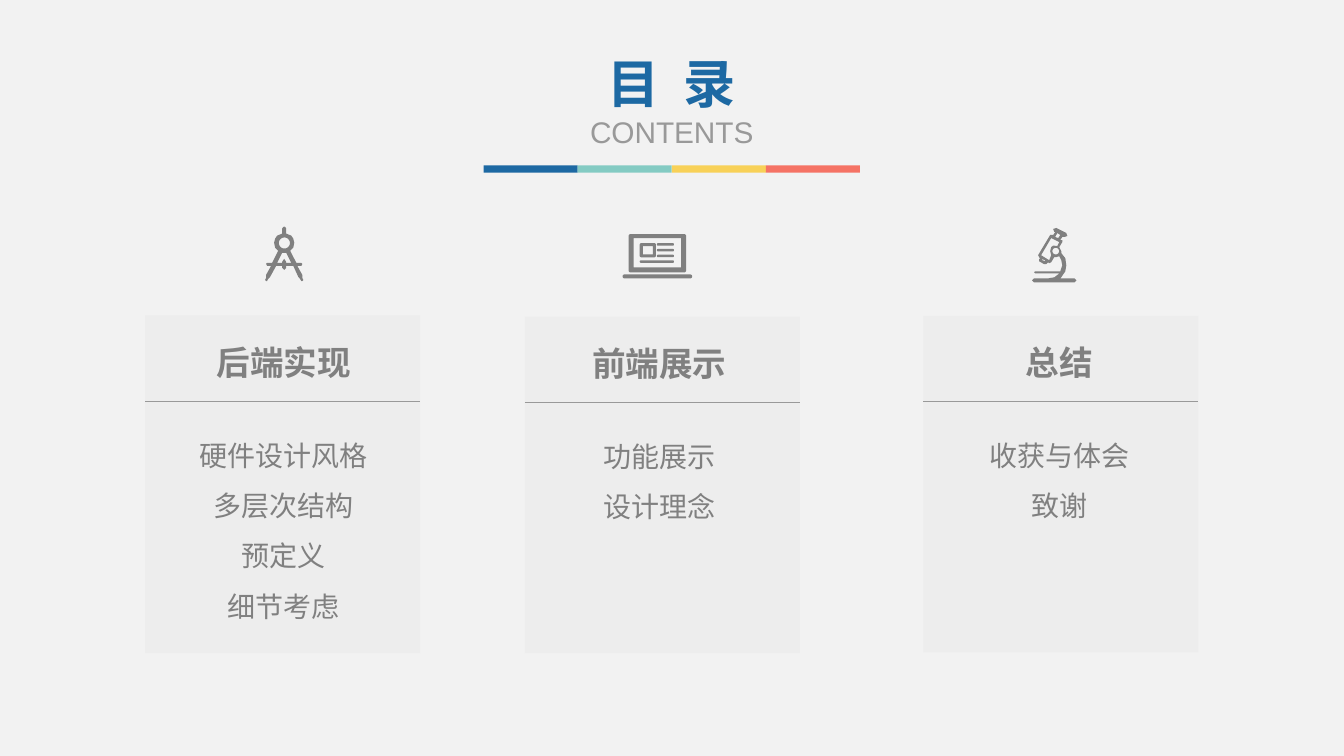
from dataclasses import dataclass
from math import cos, pi, sin

from pptx import Presentation
from pptx.dml.color import RGBColor
from pptx.enum.shapes import MSO_CONNECTOR, MSO_SHAPE
from pptx.enum.text import PP_ALIGN
from pptx.oxml.ns import qn
from pptx.util import Cm, Pt
from lxml.etree import SubElement


@dataclass(frozen=True)
class Theme:
    background: str = "F2F2F2"
    blue: str = "1D69A3"
    stripes: tuple = ("1D69A3", "84CBC3", "F8D158", "F57365")
    rule: str = "999999"
    card: str = "D9D9D9"
    card_opacity: int = 20
    grey: str = "808080"
    heading_font: str = "Arial Narrow"
    subtitle_font: str = "Arial"
    title_size: float = 37.3
    subtitle_size: float = 21.3
    heading_size: float = 24
    item_size: float = 20


THEME = Theme()
ICON_UNIT = Cm(0.0254)  # icon outlines are drawn on this grid


# Basic parts
def fill_shape(shape, color, opacity=100):
    shape.shadow.inherit = False
    shape.line.fill.background()
    shape.fill.solid()
    shape.fill.fore_color.rgb = RGBColor.from_string(color)
    if opacity < 100:
        color_element = shape.fill._xPr.find(qn("a:solidFill"))[0]
        SubElement(color_element, qn("a:alpha"), val=str(opacity * 1000))


def add_rectangle(slide, left, top, width, height, color, opacity=100):
    shape = slide.shapes.add_shape(
        MSO_SHAPE.RECTANGLE, Cm(left), Cm(top), Cm(width), Cm(height))
    fill_shape(shape, color, opacity)


def add_rule(slide, left, top, width):
    connector = slide.shapes.add_connector(
        MSO_CONNECTOR.STRAIGHT, Cm(left), Cm(top), Cm(left + width), Cm(top))
    connector.line.color.rgb = RGBColor.from_string(THEME.rule)
    connector.line.width = Pt(0.5)
    SubElement(connector._element.spPr, qn("a:effectLst"))


def add_text_box(slide, left, top, width, height):
    frame = slide.shapes.add_textbox(
        Cm(left), Cm(top), Cm(width), Cm(height)).text_frame
    frame.word_wrap = True
    return frame


def write_text(frame, text, *, size, color=THEME.grey, font=THEME.heading_font,
               bold=False, line_spacing=1.0):
    """Write one centred paragraph, using the empty first one if there is one."""
    paragraph = frame.paragraphs[-1]
    if paragraph.runs:
        paragraph = frame.add_paragraph()
    paragraph.alignment = PP_ALIGN.CENTER
    paragraph.line_spacing = line_spacing
    run = paragraph.add_run()
    run.text = text
    run.font.name = font
    run.font.size = Pt(size)
    run.font.bold = bold
    run.font.color.rgb = RGBColor.from_string(color)


# Icon outlines
def arc(x, y, radius, start, end, steps):
    angles = [start + (end - start) * step / steps for step in range(steps + 1)]
    return [(x + radius * cos(angle), y + radius * sin(angle)) for angle in angles]


def circle(x, y, radius):
    return arc(x, y, radius, 0, 2 * pi, 32)


def box(left, top, right, bottom, radius=0.0):
    corners = [(right - radius, bottom - radius), (left + radius, bottom - radius),
               (left + radius, top + radius), (right - radius, top + radius)]
    return [point for number, (x, y) in enumerate(corners)
            for point in arc(x, y, radius, number * pi / 2, (number + 1) * pi / 2, 5)]


COMPASS = [
    [(2, 39), (1, 37), (2, 36), (7, 36), (13, 24), (10, 21), (9, 16), (10, 12),
     (12, 9), (17, 7), (17, 2), (18, 0.5), (19, 0), (20, 0.5), (21, 2), (21, 7),
     (26, 9), (28, 12), (29, 16), (28, 21), (25, 24), (31, 36), (36, 36), (37, 37),
     (36, 39), (32, 39), (37, 48), (37, 51), (38, 53), (37, 54), (36, 54), (34, 51),
     (33, 50), (28, 39), (21, 39), (21, 41), (19, 43), (17, 41), (17, 39), (11, 39),
     (5, 50), (3, 52), (2, 54), (1, 54), (0, 53), (1, 51), (1, 48), (6, 39)],
    [(17, 36), (17, 35), (19, 32), (21, 35), (21, 36), (26, 36), (21, 26),
     (17, 26), (12, 36)],
    circle(19.2, 16.3, 5.5),
]
LAPTOP = [
    box(6, 0, 63, 38, 2), box(11, 4, 58, 33), box(0, 40, 69, 44, 2),
    box(17, 9, 33, 23, 1.5), box(20, 12, 30, 20),
    *[box(34, top, 51, top + 2.5, 1.25) for top in (9, 14.7, 20.4)],
    box(17, 26, 51, 28.5, 1.25),
]
MICROSCOPE = [
    [(29, 26), (33, 31), (34, 38), (33, 44), (29, 50), (28, 51), (42, 51), (44, 53),
     (42, 55), (2, 55), (0, 53), (2, 51), (16, 51), (22, 50), (26, 47), (27, 46),
     (3, 46), (2, 45), (3, 44), (28, 44), (30, 38), (29, 33), (27, 29), (24, 30),
     (22, 30), (19, 35), (17, 36), (16, 35), (14, 37), (12, 37), (7, 34), (7, 32),
     (8, 31), (7, 30), (6, 28), (18, 8), (20, 8), (21, 8), (23, 5), (22, 5),
     (21, 2), (24, 1), (34, 6), (35, 9), (32, 10), (30, 10), (28, 13), (30, 13),
     (30, 15), (27, 20), (29, 24)],
    [(28, 8), (25, 6), (23, 10), (26, 11)],
    [(25, 19), (27, 15), (19, 11), (9, 28), (17, 33), (19, 28), (18, 24),
     (19, 20), (21, 18.5)],
    circle(23.5, 24, 3.3),
    [(10, 32), (10, 33), (13, 34), (13, 33)],
]


def add_icon(slide, left, top, outlines):
    scaled = [[(x * ICON_UNIT, y * ICON_UNIT) for x, y in outline]
              for outline in outlines]
    builder = slide.shapes.build_freeform(*scaled[0][0], scale=1.0)
    for number, outline in enumerate(scaled):
        if number:
            builder.move_to(*outline[0])
        builder.add_line_segments(outline[1:], close=True)
    fill_shape(builder.convert_to_shape(Cm(left), Cm(top)), THEME.grey)


# Regions of the slide
def add_header(slide, left, top, width):
    frame = add_text_box(slide, left, top, width, 2.77)
    write_text(frame, "目  录", size=THEME.title_size, color=THEME.blue, bold=True)
    write_text(frame, "CONTENTS", size=THEME.subtitle_size, color=THEME.rule,
               font=THEME.subtitle_font)
    stripe_width = width / len(THEME.stripes)
    for number, color in enumerate(THEME.stripes):
        add_rectangle(slide, left + number * stripe_width, top + 3, stripe_width,
                      0.18, color)


def add_card(slide, left, top, width, height, *, heading, items, icon,
             icon_offset, text_shift):
    icon_left, icon_top = icon_offset
    add_icon(slide, left + icon_left, top + icon_top, icon)
    add_rectangle(slide, left, top, width, height, THEME.card, THEME.card_opacity)
    add_rule(slide, left, top + 2.16, width)
    text_left = left + text_shift
    frame = add_text_box(slide, text_left, top + 2.54, width, 1.31 * len(items))
    for item in items:
        write_text(frame, item, size=THEME.item_size, line_spacing=1.5)
    frame = add_text_box(slide, text_left, top + 0.54, width, 1.28)
    write_text(frame, heading, size=THEME.heading_size, bold=True)


def add_contents(slide):
    add_header(slide, 12.19, 1.17, 9.48)
    add_card(slide, 3.66, 7.95, 6.93, 8.51, heading="后端实现",
             items=["硬件设计风格", "多层次结构", "预定义", "细节考虑"],
             icon=COMPASS, icon_offset=(3.02, -2.24), text_shift=0.03)
    add_card(slide, 13.23, 7.98, 6.93, 8.48, heading="前端展示",
             items=["功能展示", "设计理念"],
             icon=LAPTOP, icon_offset=(2.46, -2.08), text_shift=-0.08)
    add_card(slide, 23.27, 7.96, 6.93, 8.48, heading="总结",
             items=["收获与体会", "致谢"],
             icon=MICROSCOPE, icon_offset=(2.74, -2.24), text_shift=-0.04)


presentation = Presentation()
presentation.slide_width, presentation.slide_height = Cm(33.87), Cm(19.05)
slide = presentation.slides.add_slide(presentation.slide_layouts[6])
slide.background.fill.solid()
slide.background.fill.fore_color.rgb = RGBColor.from_string(THEME.background)
add_contents(slide)
presentation.save("out.pptx")
